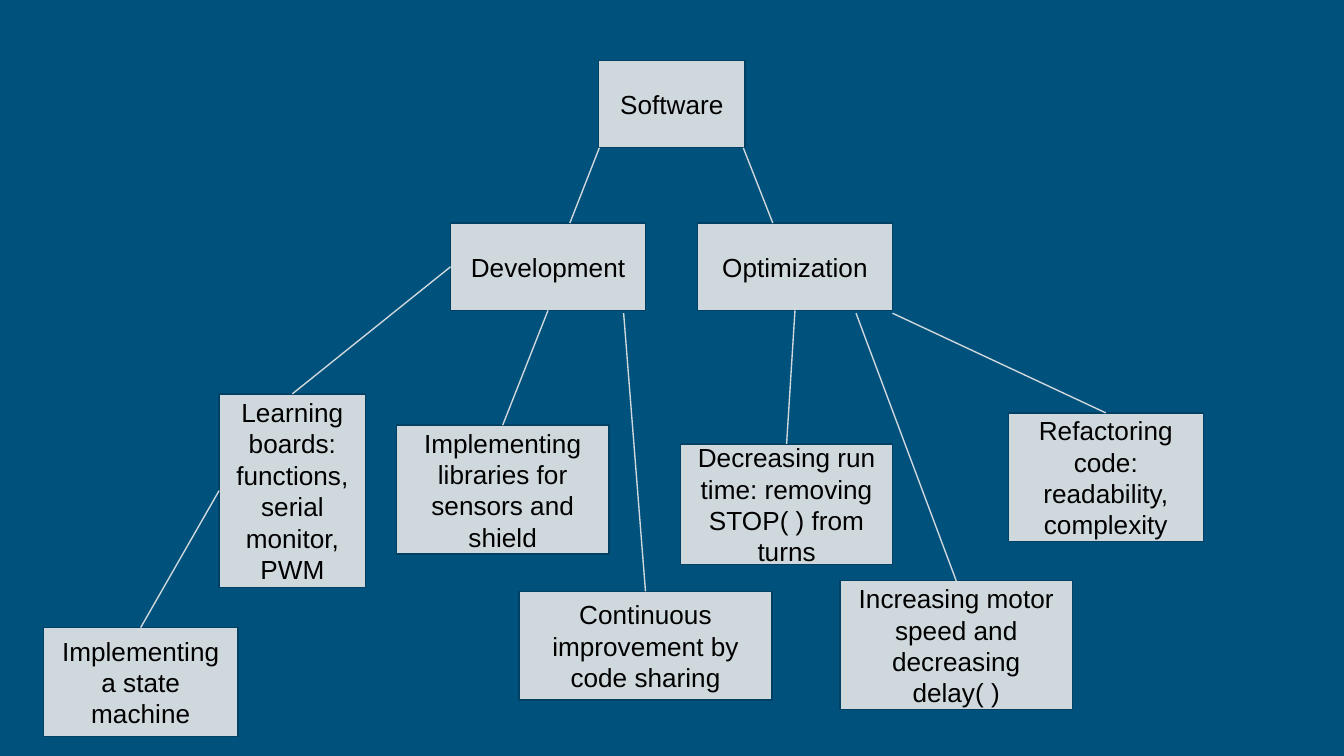
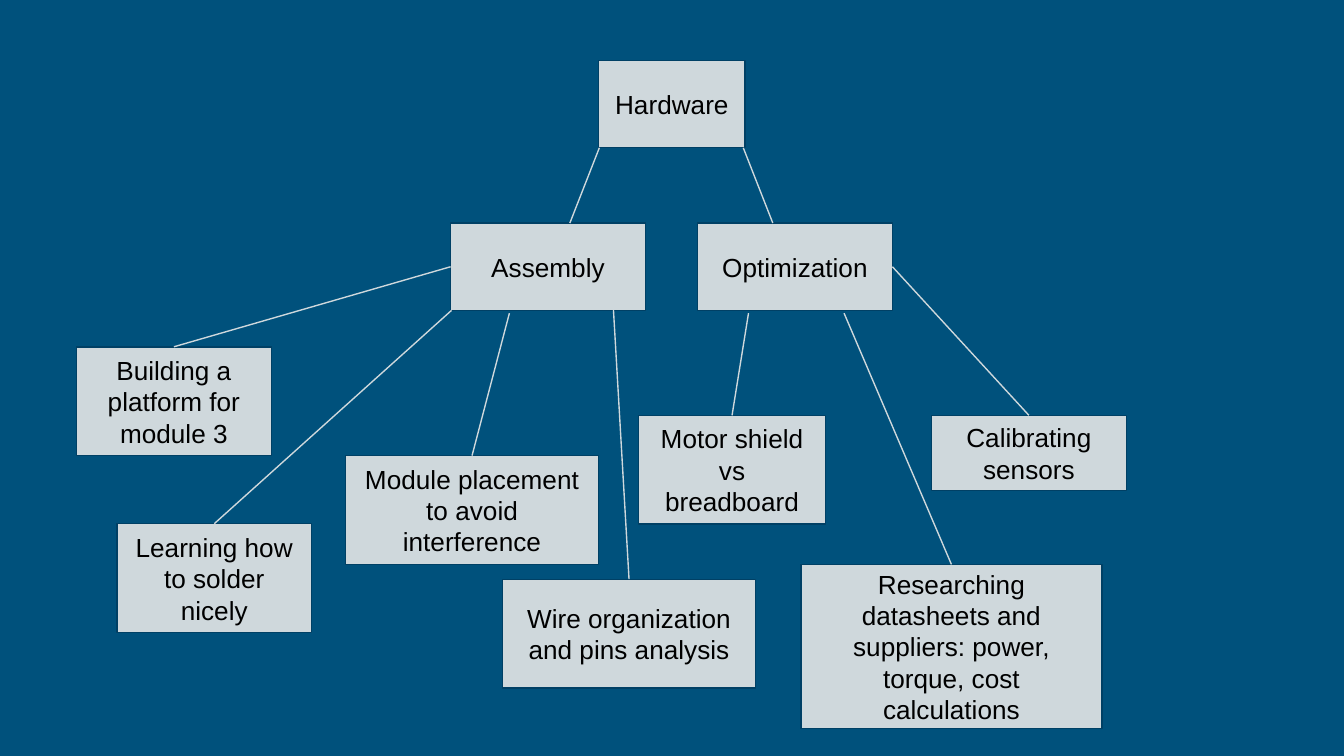
"""Build two tree diagrams: the software and the hardware work of a project."""
from dataclasses import dataclass
from typing import Optional

from lxml import etree
from pptx import Presentation
from pptx import util as u
from pptx.dml.color import RGBColor
from pptx.enum import shapes, text
from pptx.oxml.ns import qn

NAVY, EDGE, GREY, BLACK = "00517C", "004065", "CFD8DC", "000000"
FONT = "Arial"
TOP, LEFT, BOTTOM, RIGHT = range(4)
BRANCH_TOP, BRANCH_WIDTH, ROW_HEIGHT = 119.5, 104.4, 46.8
ROOT_LEFT, ROOT_TOP, ROOT_WIDTH = 320.7, 32.4, 78.5
BELOW_BRANCH = 167.8


@dataclass(frozen=True)
class Node:
    """A box and the line from its parent, which leaves by a side or from a point."""
    label: str
    left: float
    top: float
    width: float
    height: float
    parent: Optional[str] = None
    side: Optional[int] = None
    start_x: float = 0
    start_y: float = BELOW_BRANCH
    end_x: Optional[float] = None


def trunk(root: str, left_branch: str, right_branch: str) -> list[Node]:
    """Return the root and its two branches, which stand alike on both slides."""
    branch = (BRANCH_TOP, BRANCH_WIDTH, ROW_HEIGHT, root)
    root_bottom = ROOT_TOP + ROW_HEIGHT
    return [
        Node(root, ROOT_LEFT, ROOT_TOP, ROOT_WIDTH, ROW_HEIGHT),
        Node(left_branch, 241.4, *branch, start_x=321.1, start_y=root_bottom, end_x=305.3),
        Node(right_branch, 373.7, *branch, start_x=398.2, start_y=root_bottom, end_x=414),
    ]


LEARNING = "Learning boards: functions, serial monitor, PWM"
SOFTWARE = trunk("Software", "Development", "Optimization") + [
    Node(LEARNING, 117.4, 211, 78.5, 103.7, "Development", LEFT),
    Node("Implementing a state machine", 23.2, 336.2, 104.4, 58.3, LEARNING, LEFT),
    Node("Implementing libraries for sensors and shield", 212.4, 227.8, 113.8, 69.1,
         "Development", BOTTOM),
    Node("Continuous improvement by code sharing", 278.1, 316.8, 135.4, 58.3,
         "Development", start_x=334.1),
    Node("Decreasing run time: removing STOP( ) from turns", 364.5, 237.8, 113.8, 64.8,
         "Optimization", BOTTOM),
    Node("Increasing motor speed and decreasing delay( )", 450, 311.2, 124.6, 69.1,
         "Optimization", start_x=458.6),
    Node("Refactoring code: readability, complexity", 540.2, 221.2, 104.4, 69.1,
         "Optimization", start_x=478.1),
]
HARDWARE = trunk("Hardware", "Assembly", "Optimization") + [
    Node("Building a platform for module 3", 41, 185.8, 104.4, 58.3, "Assembly", LEFT),
    Node("Learning how to solder nicely", 62.6, 280.6, 104.4, 58.3,
         "Assembly", start_x=241.9, start_y=166.3),
    Node("Module placement to avoid interference", 185.2, 244.1, 135.4, 58.3,
         "Assembly", start_x=272.9),
    Node("Wire organization and pins analysis", 269.3, 310.3, 135.4, 58.3,
         "Assembly", start_x=328.3, start_y=159.8),
    Node("Motor shield vs breadboard", 342.2, 222.5, 100, 58.3,
         "Optimization", start_x=401),
    Node("Researching datasheets and suppliers: power, torque, cost calculations",
         429.1, 302.4, 161.2, 87.8, "Optimization", start_x=452.2),
    Node("Calibrating sensors", 499, 222.5, 104.4, 40.3, "Optimization", RIGHT),
]


def color(value: str) -> RGBColor:
    """Turn a hex string into a colour."""
    return RGBColor.from_string(value)


def write(box, content: str, *, size: float = 14, ink: str = BLACK,
          align=text.PP_ALIGN.CENTER) -> None:
    """Put formatted text in the middle of a box."""
    frame = box.text_frame
    frame.word_wrap = True
    frame.vertical_anchor = text.MSO_ANCHOR.MIDDLE
    frame.margin_left = frame.margin_right = u.Pt(7.2)
    frame.margin_top = frame.margin_bottom = u.Pt(7.2)
    para = frame.paragraphs[0]
    para.alignment = align
    span = para.add_run()
    span.text = content
    span.font.name, span.font.size = FONT, u.Pt(size)
    span.font.color.rgb = color(ink)


def draw_box(page, node: Node):
    """Draw the rectangle of a node."""
    box = page.shapes.add_shape(
        shapes.MSO_SHAPE.RECTANGLE,
        u.Pt(node.left), u.Pt(node.top), u.Pt(node.width), u.Pt(node.height))
    box.shadow.inherit = False
    box.fill.solid()
    box.fill.fore_color.rgb = color(GREY)
    box.line.color.rgb = color(EDGE)
    box.line.width = u.Pt(0.75)
    write(box, node.label)
    return box


def draw_link(page, node: Node, boxes: dict) -> None:
    """Draw the line from a node's parent to its top side."""
    middle = node.left + node.width / 2
    end_x = middle if node.end_x is None else node.end_x
    link = page.shapes.add_connector(
        shapes.MSO_CONNECTOR.STRAIGHT,
        u.Pt(node.start_x), u.Pt(node.start_y), u.Pt(end_x), u.Pt(node.top))
    if node.side is not None:
        link.begin_connect(boxes[node.parent], node.side)
    if node.end_x is None:
        link.end_connect(boxes[node.label], TOP)
    link.line.color.rgb = color(GREY)
    link.line.width = u.Pt(0.75)
    etree.SubElement(link._element.spPr, qn("a:effectLst"))


def draw_tree(deck, nodes: list[Node]) -> None:
    """Add a slide that holds one tree."""
    page = deck.slides.add_slide(deck.slide_layouts[6])
    boxes = {node.label: draw_box(page, node) for node in nodes}
    for node in nodes:
        if node.parent:
            draw_link(page, node, boxes)


def main() -> None:
    """Build and save the deck."""
    deck = Presentation()
    deck.slide_width, deck.slide_height = u.Pt(720), u.Pt(405)
    backdrop = deck.slide_master.background.fill
    backdrop.solid()
    backdrop.fore_color.rgb = color(NAVY)
    for nodes in (SOFTWARE, HARDWARE):
        draw_tree(deck, nodes)
    deck.save("out.pptx")


if __name__ == "__main__":
    main()
